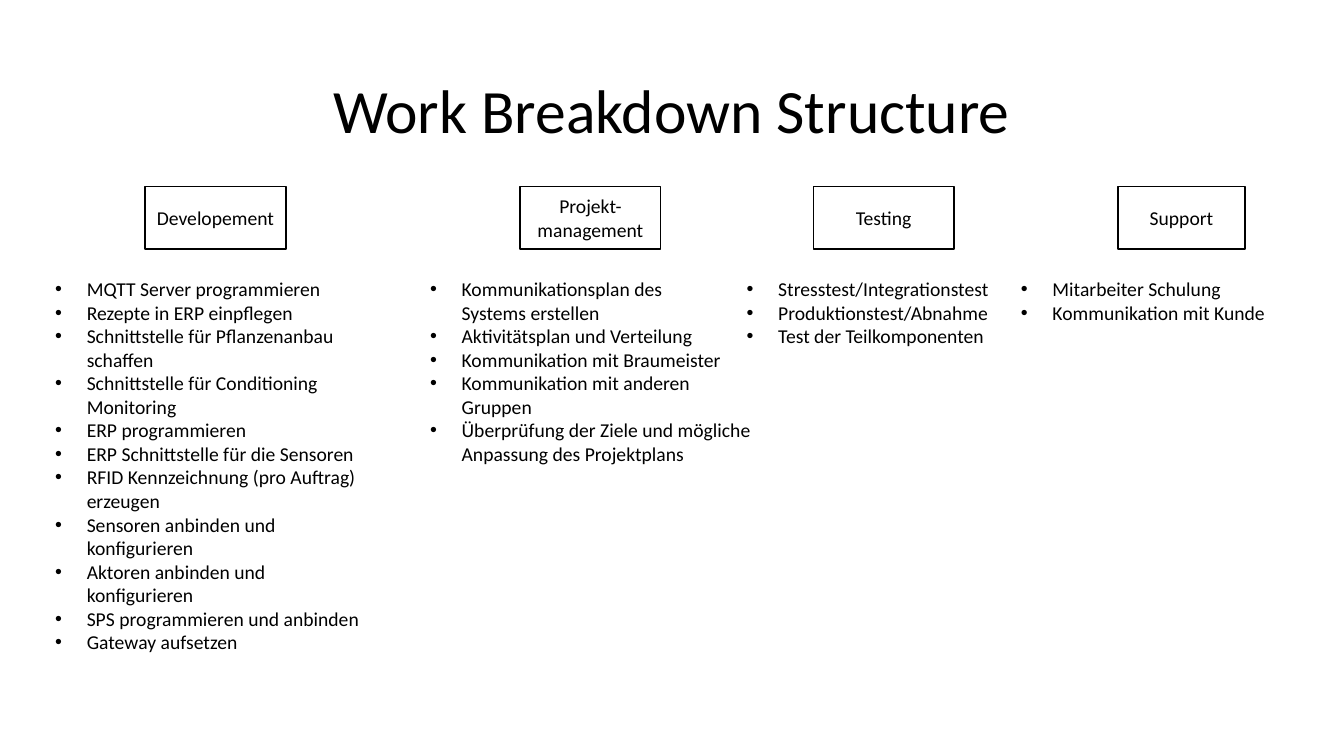
from pptx import Presentation
from pptx.dml.color import RGBColor
from pptx.enum.shapes import MSO_SHAPE as Shape
from pptx.enum.text import MSO_ANCHOR as Anchor, PP_ALIGN as Align
from pptx.oxml.ns import qn
from pptx.util import Pt

BLACK = RGBColor(0x00, 0x00, 0x00)
WHITE = RGBColor(0xFF, 0xFF, 0xFF)
TITLE_ONLY = 5

HEADER_TOP, HEADER_HEIGHT = 133.2, 44.8
LIST_TOP, LIST_WIDTH, LIST_HEIGHT = 194.4, 243.5, 330.5

# Header text, header left, header width, list left, tasks
WORK_PACKAGES = [
    ("Developement", 103.7, 100.5, 32.4, [
        "MQTT Server programmieren",
        "Rezepte in ERP einpflegen",
        "Schnittstelle für Pflanzenanbau schaffen",
        "Schnittstelle für Conditioning Monitoring",
        "ERP programmieren",
        "ERP Schnittstelle für die Sensoren",
        "RFID Kennzeichnung (pro Auftrag) erzeugen",
        "Sensoren anbinden und konfigurieren",
        "Aktoren anbinden und konfigurieren",
        "SPS programmieren und anbinden",
        "Gateway aufsetzen",
    ]),
    ("Projekt-\nmanagement", 371.5, 100.5, 300.2, [
        "Kommunikationsplan des\vSystems erstellen",
        "Aktivitätsplan und Verteilung",
        "Kommunikation mit Braumeister",
        "Kommunikation mit anderen Gruppen",
        "Überprüfung der Ziele und mögliche Anpassung des Projektplans",
    ]),
    ("Testing", 581, 100.5, 526.3, [
        "Stresstest/Integrationstest",
        "Produktionstest/Abnahme",
        "Test der Teilkomponenten",
    ]),
    ("Support", 798.5, 91, 722.2, [
        "Mitarbeiter Schulung",
        "Kommunikation mit Kunde",
    ]),
]


class SlideBuilder:
    """Holds the text style and the slide being filled."""

    font_name = "Calibri"
    title_size = 44
    text_size = 14
    bullet_indent = 22.5

    def __init__(self, slide):
        """Keep the slide to draw on."""
        self.slide = slide

    def set_text(self, frame, text, size, align):
        """Fill a text frame and format all its paragraphs."""
        frame.text = text
        frame.word_wrap = True
        for paragraph in frame.paragraphs:
            paragraph.alignment = align
            paragraph.font.name = self.font_name
            paragraph.font.size = Pt(size)
            paragraph.font.color.rgb = BLACK

    def title(self, text, left, top, width, height):
        """Place and fill the title placeholder."""
        title = self.slide.shapes.title
        title.left, title.top = Pt(left), Pt(top)
        title.width, title.height = Pt(width), Pt(height)
        self.set_text(title.text_frame, text, self.title_size, Align.CENTER)
        title.text_frame.vertical_anchor = Anchor.MIDDLE
        title.text_frame.paragraphs[0].line_spacing = 0.9

    def header(self, text, left, top, width, height):
        """Draw an outlined box with centred text."""
        box = self.slide.shapes.add_shape(
            Shape.RECTANGLE, Pt(left), Pt(top), Pt(width), Pt(height))
        box.shadow.inherit = False
        box.fill.solid()
        box.fill.fore_color.rgb = WHITE
        box.line.color.rgb = BLACK
        box.line.width = Pt(1)
        self.set_text(box.text_frame, text, self.text_size, Align.CENTER)
        box.text_frame.vertical_anchor = Anchor.MIDDLE

    def bullet_list(self, items, left, top, width, height):
        """Add a text box with one bullet per item."""
        box = self.slide.shapes.add_textbox(
            Pt(left), Pt(top), Pt(width), Pt(height))
        frame = box.text_frame
        self.set_text(frame, "\n".join(items), self.text_size, Align.LEFT)
        indent = Pt(self.bullet_indent)
        for paragraph in frame.paragraphs:
            properties = paragraph._p.get_or_add_pPr()
            properties.set("marL", str(indent))
            properties.set("indent", str(-indent))
            for tag, attributes in (("a:buFont", {"typeface": "Arial"}),
                                    ("a:buChar", {"char": "•"})):
                element = properties.makeelement(qn(tag), attributes)
                properties.insert_element_before(element, "a:defRPr")


def main():
    """Build the slide and save it."""
    presentation = Presentation()
    presentation.slide_width, presentation.slide_height = Pt(960), Pt(540)
    layout = presentation.slide_layouts[TITLE_ONLY]
    builder = SlideBuilder(presentation.slides.add_slide(layout))

    builder.title("Work Breakdown Structure", 66, 28.8, 828, 104.4)
    for name, header_left, header_width, list_left, tasks in WORK_PACKAGES:
        builder.header(name, header_left, HEADER_TOP, header_width, HEADER_HEIGHT)
        builder.bullet_list(tasks, list_left, LIST_TOP, LIST_WIDTH, LIST_HEIGHT)

    presentation.save("out.pptx")


main()
